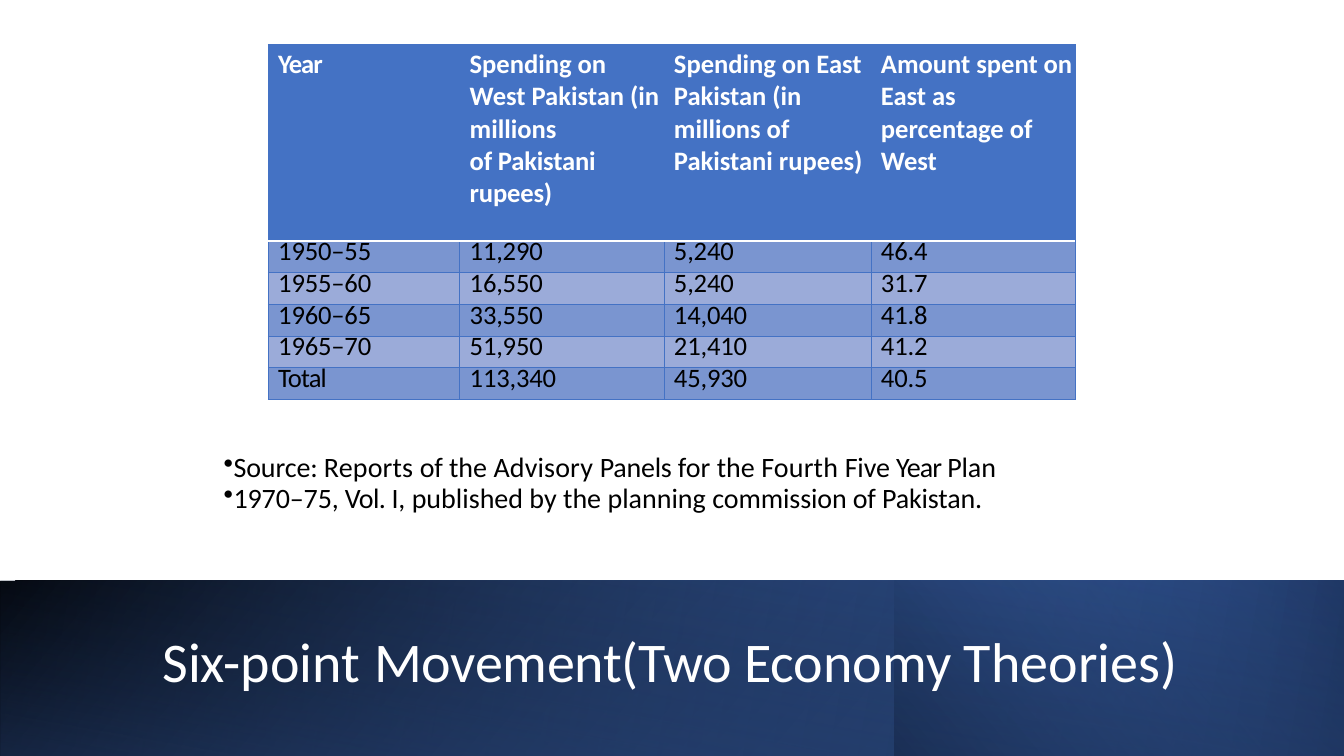
"""Builds the slide on the two economies: a spending table, its source and a title band."""
import lxml.etree
import pptx
import pptx.dml.color
import pptx.enum.shapes
import pptx.enum.text
import pptx.oxml.ns
import pptx.util

WIDTH, HEIGHT = pptx.util.Inches(13.33), pptx.util.Inches(7.5)
BLUE, NAVY, BLACK, WHITE = "4472C4", "203864", "000000", "FFFFFF"
BAND_TOP, BAND_HEIGHT = 76.8, 23.2
COLUMN_SHARES = [14.25, 15.2, 15.4, 15.2]
HEADER_SHARE, ROW_SHARE = 26, 4.19
ROW_FILLS = ["7A95D0", "9BABD9"]

HEADERS = [
    [[("Year", -0.7)]],
    [[("Spending on West Pakistan (in millions", 0)],
     [("of Pakistani", -0.1)], [("rupees)", -0.1)]],
    [[("Spending on East Pakistan (in millions of Pakistani rupees)", 0)]],
    [[("Amount spent on East as percentage of West", 0)]],
]
SPENDING = [
    ["1950–55", "11,290", "5,240", "46.4"],
    ["1955–60", "16,550", "5,240", "31.7"],
    ["1960–65", "33,550", "14,040", "41.8"],
    ["1965–70", "51,950", "21,410", "41.2"],
    ["Total", "113,340", "45,930", "40.5"],
]
SOURCE = [
    [("Source: ", -0.1), ("Reports ", 0.1), ("of ", -0.2), ("the ", 0),
     ("Advisory ", 0.1), ("Panels ", -0.2), ("for the ", 0), ("Fourth ", 0.1),
     ("Five ", -0.1), ("Year ", -0.7), ("Plan", -0.1)],
    [("1970–75, ", -0.1), ("Vol. ", -0.5), ("I,", -0.1),
     (" published by the planning", 0), (" commission ", -0.1),
     ("of ", -0.2), ("Pakistan.", -0.1)],
]
TITLE = [[("Six-point ", 0.1), ("Movement(Two ", -0.2),
          ("Economy ", 0), ("Theories)", 0.1)]]


def color(code):
    """Turn a hex string into a colour."""
    return pptx.dml.color.RGBColor.from_string(code)


def across(share):
    """Give a length as a percentage of the slide's width."""
    return round(WIDTH * share / 100)


def down(share):
    """Give a length as a percentage of the slide's height."""
    return round(HEIGHT * share / 100)


def place(left, top, width, height):
    """Give a left, top, width and height from shares of the slide."""
    return across(left), down(top), across(width), down(height)


def assign(target, values):
    """Set each named attribute of an object."""
    for name, value in values.items():
        setattr(target, name, value)


def add_child(parent, tag, **attributes):
    """Append a drawing element to a parent."""
    return lxml.etree.SubElement(parent, pptx.oxml.ns.qn(tag), attributes)


def write(frame, paragraphs, size, code, bold=False, spacing=None, indent=0.01, bullet=None):
    """Fill a text frame with paragraphs of letter-spaced spans."""
    frame.word_wrap = True
    for index, spans in enumerate(paragraphs):
        para = frame.paragraphs[0] if index == 0 else frame.add_paragraph()
        properties = para._p.get_or_add_pPr()
        properties.set("marL", str(pptx.util.Inches(indent)))
        properties.set("indent", str(pptx.util.Inches(-0.25 if bullet else 0)))
        if bullet:
            add_child(properties, "a:buChar", char=bullet)
        assign(para, {"alignment": pptx.enum.text.PP_ALIGN.LEFT,
                      "line_spacing": spacing})
        for text, tracking in spans:
            span = para.add_run()
            span.text = text
            assign(span.font, {"name": "Calibri", "size": pptx.util.Pt(size), "bold": bold})
            span.font.color.rgb = color(code)
            span._r.get_or_add_rPr().set("spc", str(round(tracking * 100)))


def add_band(page, left, stops, angle, flip=False, rotation=0):
    """Add a gradient rectangle reaching from a column to the right edge."""
    band = page.shapes.add_shape(
        pptx.enum.shapes.MSO_SHAPE.RECTANGLE,
        *place(left, BAND_TOP, 100 - left, BAND_HEIGHT))
    band.shadow.inherit = False
    band.line.fill.background()
    band.rotation = rotation
    if flip:
        band._element.spPr.xfrm.set("flipH", "1")
    band.fill.gradient()
    band.fill.gradient_angle = 360 - angle
    for stop, (code, position, opacity) in zip(band.fill.gradient_stops, stops):
        stop.color.rgb = color(code)
        stop.position = position
    tints = band._element.spPr.findall(".//" + pptx.oxml.ns.qn("a:srgbClr"))
    for tint, (code, position, opacity) in zip(tints, stops):
        add_child(tint, "a:alpha", val=str(opacity * 1000))


def add_borders(cell, edges):
    """Draw the four edges of a table cell."""
    properties = cell._tc.get_or_add_tcPr()
    for side in "LRTB":
        code, width = edges.get(side, (BLUE, 0.5))
        line = add_child(properties, "a:ln" + side, w=str(pptx.util.Pt(width)))
        add_child(add_child(line, "a:solidFill"), "a:srgbClr", val=code)


def format_cell(cell, fill, edges, top):
    """Give a table cell its borders, fill and margins."""
    add_borders(cell, edges)
    cell.fill.solid()
    cell.fill.fore_color.rgb = color(fill)
    assign(cell, {"margin_left": 0, "margin_right": 0, "margin_bottom": 0,
                  "margin_top": pptx.util.Inches(top)})


def add_spending_table(page):
    """Add the table of spending by period."""
    height = HEADER_SHARE + ROW_SHARE * len(SPENDING)
    table = page.shapes.add_table(
        len(SPENDING) + 1, len(COLUMN_SHARES),
        *place(19.95, 5.87, sum(COLUMN_SHARES), height)).table
    for column, share in zip(table.columns, COLUMN_SHARES):
        column.width = across(share)
    for index, row in enumerate(table.rows):
        row.height = down(ROW_SHARE if index else HEADER_SHARE)
    for index, header in enumerate(HEADERS):
        cell = table.cell(0, index)
        format_cell(cell, BLUE, {"B": (WHITE, 1)}, 0.04)
        write(cell.text_frame, header, 19, WHITE, bold=True, indent=0.1)
    for row, values in enumerate(SPENDING):
        edges = {"T": (WHITE, 1)} if row == 0 else {}
        for column, value in enumerate(values):
            cell = table.cell(row + 1, column)
            format_cell(cell, ROW_FILLS[row % 2], edges, 0)
            tracking = -0.6 if value == "Total" else -0.1
            write(cell.text_frame, [[(value, tracking)]], 19, BLACK,
                  spacing=pptx.util.Pt(19.2), indent=0.1)


def add_source(page):
    """Add the bulleted source of the figures."""
    box = page.shapes.add_textbox(*place(15.9, 55.87, 68.34, 16.27))
    box.text_frame.vertical_anchor = pptx.enum.text.MSO_ANCHOR.MIDDLE
    write(box.text_frame, SOURCE, 20, BLACK, spacing=0.9, bullet="•")


def set_title(page):
    """Move the title onto the band and format it."""
    title = page.shapes.title
    page.shapes._spTree.append(title._element)
    left, top, width, height = place(11.25, 80.4, 81.17, 15.07)
    assign(title, {"left": left, "top": top, "width": width, "height": height})
    assign(title.text_frame, {"auto_size": pptx.enum.text.MSO_AUTO_SIZE.NONE,
                              "vertical_anchor": pptx.enum.text.MSO_ANCHOR.MIDDLE})
    write(title.text_frame, TITLE, 40, WHITE, spacing=0.9)


def main():
    """Build and save the deck."""
    deck = pptx.Presentation()
    assign(deck, {"slide_width": WIDTH, "slide_height": HEIGHT})
    page = deck.slides.add_slide(deck.slide_layouts.get_by_name("Title Only"))
    add_band(page, 0, [(BLACK, 0, 100), (BLUE, 1, 100)], 140, flip=True)
    add_band(page, 0, [(BLUE, 0, 0), (NAVY, 1, 100)], 170, flip=True)
    add_band(page, 66.54, [(NAVY, 0, 100), (BLUE, 1, 0)], 220, flip=True)
    add_band(page, 0, [(BLACK, 0, 0), (NAVY, 0.99, 55)], 280, rotation=180)
    set_title(page)
    add_source(page)
    add_spending_table(page)
    deck.save("out.pptx")


if __name__ == "__main__":
    main()
